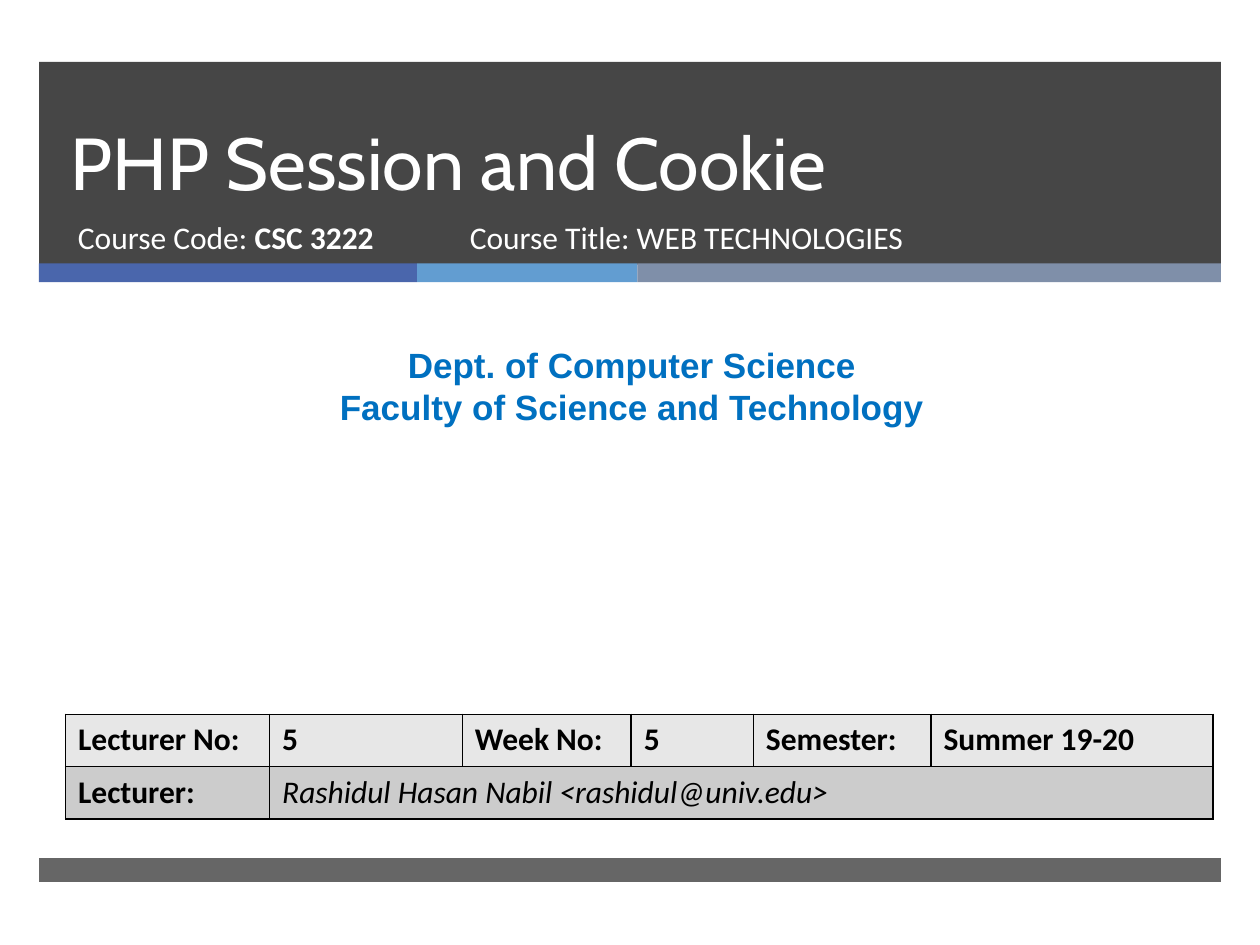
from dataclasses import dataclass

from lxml import etree
from pptx import Presentation
from pptx.dml.color import RGBColor
from pptx.enum.shapes import MSO_SHAPE
from pptx.enum.text import MSO_ANCHOR, PP_ALIGN
from pptx.oxml.ns import qn
from pptx.util import Inches, Pt

LEFT, WIDTH = 0.31, 9.38
WHITE, BLACK, DARK, BLUE = "FFFFFF", "000000", "262626", "0070C0"


@dataclass
class Run:
    text: str
    bold: bool = False
    italic: bool = False


@dataclass
class Style:
    size: float
    font: str
    color: str
    align: PP_ALIGN = PP_ALIGN.LEFT
    anchor: MSO_ANCHOR = MSO_ANCHOR.TOP
    spacing: float | None = None


@dataclass
class Bar:
    left: float
    top: float
    width: float
    height: float
    color: str
    opacity: int = 100


@dataclass
class Label:
    left: float
    top: float
    width: float
    height: float
    paragraphs: list[list[Run]]
    style: Style


def rgb(color: str) -> RGBColor:
    return RGBColor.from_string(color)


def draw_bar(slide, bar: Bar) -> None:
    shape = slide.shapes.add_shape(
        MSO_SHAPE.RECTANGLE, Inches(bar.left), Inches(bar.top),
        Inches(bar.width), Inches(bar.height))
    shape.shadow.inherit = False
    shape.line.fill.background()
    shape.fill.solid()
    shape.fill.fore_color.rgb = rgb(bar.color)
    if bar.opacity < 100:
        color = shape._element.spPr.find(qn("a:solidFill"))[0]
        etree.SubElement(color, qn("a:alpha"), val=str(bar.opacity * 1000))


def write(frame, paragraphs: list[list[Run]], style: Style) -> None:
    for i, runs in enumerate(paragraphs):
        paragraph = frame.add_paragraph() if i else frame.paragraphs[0]
        paragraph.alignment = style.align
        if style.spacing:
            paragraph.line_spacing = Pt(style.spacing)
        for item in runs:
            run = paragraph.add_run()
            run.text = item.text
            font = run.font
            font.size, font.name = Pt(style.size), style.font
            font.bold, font.italic = item.bold, item.italic
            font.color.rgb = rgb(style.color)


def draw_label(slide, label: Label) -> None:
    box = slide.shapes.add_textbox(
        Inches(label.left), Inches(label.top),
        Inches(label.width), Inches(label.height))
    box.text_frame.word_wrap = True
    box.text_frame.vertical_anchor = label.style.anchor
    write(box.text_frame, label.paragraphs, label.style)


def format_cell(cell, fill: str) -> None:
    properties = cell._tc.get_or_add_tcPr()
    for side in ("lnL", "lnR", "lnT", "lnB"):
        line = etree.SubElement(properties, qn(f"a:{side}"), w=str(Pt(1)))
        solid = etree.SubElement(line, qn("a:solidFill"))
        etree.SubElement(solid, qn("a:srgbClr"), val=BLACK)
    cell.fill.solid()
    cell.fill.fore_color.rgb = rgb(fill)


def draw_table(slide, left: float, top: float, widths: list[float], height: float,
               rows: list[list[Run]], fills: list[str], style: Style) -> None:
    table = slide.shapes.add_table(
        len(rows), len(widths), Inches(left), Inches(top),
        Inches(sum(widths)), Inches(height * len(rows))).table
    for column, width in zip(table.columns, widths):
        column.width = Inches(width)
    for r, (runs, fill) in enumerate(zip(rows, fills)):
        table.rows[r].height = Inches(height)
        for c in range(len(widths)):
            format_cell(table.cell(r, c), fill)
        for c, run in enumerate(runs):
            write(table.cell(r, c).text_frame, [[run]], style)
        if len(runs) < len(widths):
            table.cell(r, len(runs) - 1).merge(table.cell(r, len(widths) - 1))


def main() -> None:
    presentation = Presentation()
    presentation.slide_width, presentation.slide_height = Inches(10), Inches(7.5)
    slide = presentation.slides.add_slide(presentation.slide_layouts[6])

    draw_bar(slide, Bar(LEFT, 0.49, WIDTH, 1.61, DARK, 85))
    left = LEFT
    for width, color in ((3, "4A66AC"), (1.75, "629DD1"), (4.63, "7F8FA9")):
        draw_bar(slide, Bar(left, 2.09, width, 0.15, color))
        left += width
    draw_bar(slide, Bar(LEFT, 6.81, WIDTH, 0.19, DARK, 70))

    title = Style(42, "Cabin", WHITE, anchor=MSO_ANCHOR.BOTTOM, spacing=46)
    course = Style(18, "Calibri", WHITE)
    department = Style(20, "Arial", BLUE, PP_ALIGN.CENTER)
    labels = [
        Label(0.46, 0.49, 8.54, 1.19, [[Run("PHP Session and Cookie")]], title),
        Label(0.52, 1.68, 3.05, 0.53,
              [[Run("Course Code: "), Run("CSC 3222", bold=True)]], course),
        Label(3.63, 1.68, 4.55, 0.53,
              [[Run("Course Title: WEB TECHNOLOGIES")]], course),
        Label(0.08, 2.68, 9.87, 0.77,
              [[Run("Dept. of Computer Science", bold=True)],
               [Run("Faculty of Science and Technology", bold=True)]], department),
    ]
    for label in labels:
        draw_label(slide, label)

    headings = ["Lecturer No:", "5", "Week No:", "5", "Semester:", "Summer 19-20"]
    lecture_rows = [
        [Run(text, bold=True) for text in headings],
        [Run("Lecturer:", bold=True),
         Run("Rashidul Hasan Nabil <rashidul@univ.edu>", italic=True)],
    ]
    draw_table(slide, 0.52, 5.67, [1.62, 1.53, 1.34, 0.97, 1.41, 2.24], 0.415,
               lecture_rows, ["E7E7E7", "CCCCCC"], Style(18, "Calibri", BLACK))

    presentation.save("out.pptx")


main()
